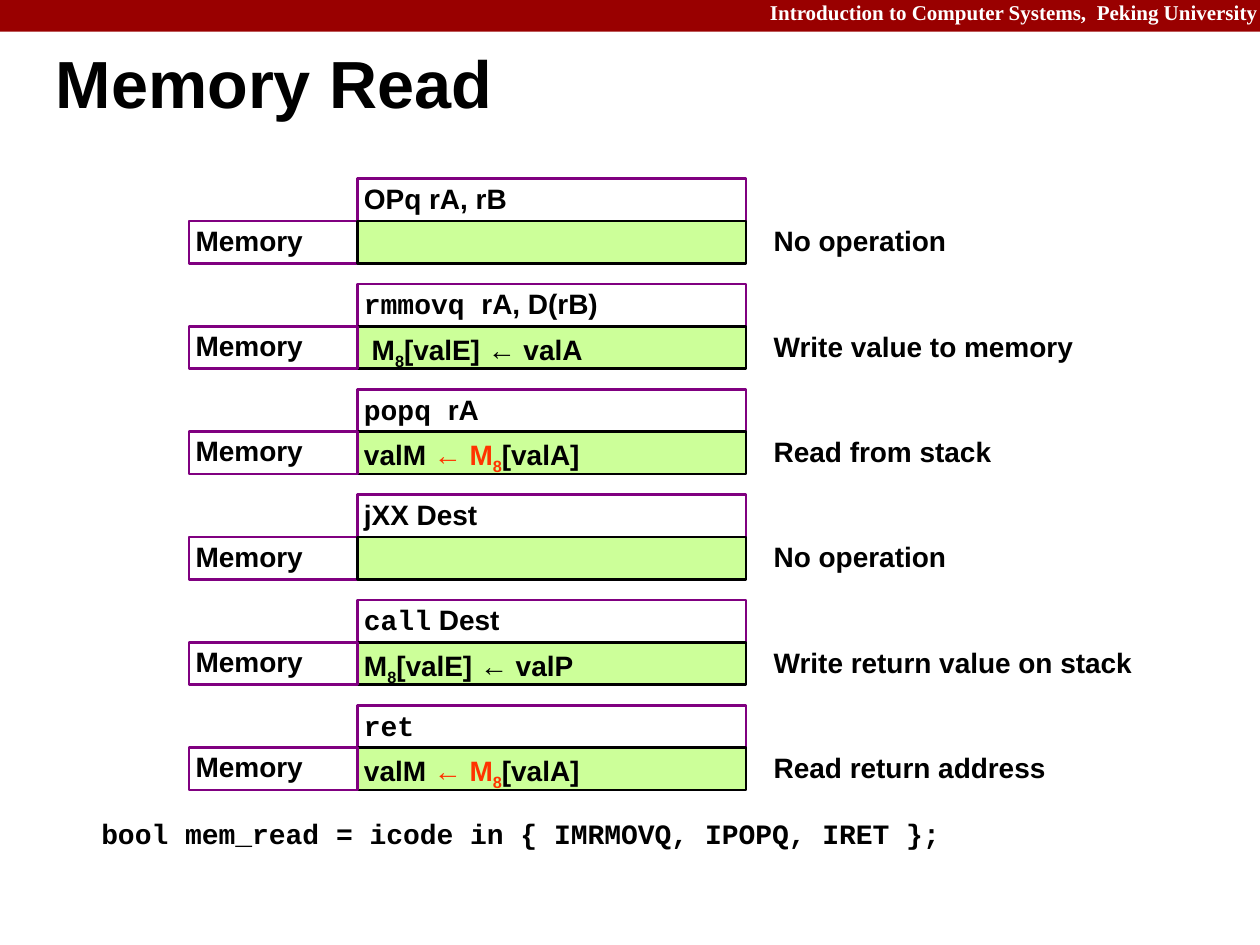
"""Build the Memory Read slide: the memory stage of six instructions."""
from pptx import Presentation
from pptx.dml.color import RGBColor
from pptx.enum import shapes, text
from pptx.util import Cm, Pt

HEADER = "Introduction to Computer Systems,  Peking University"
TITLE = "Memory Read"
CODE = "bool mem_read = icode in { IMRMOVQ, IPOPQ, IRET };"
STAGE = [("Memory", "")]
READ_STACK = [("valM ", ""), ("← M", "red"), ("8", "red sub"), ("[valA]", "")]
INSTRUCTIONS = [
    ([("OPq rA, rB", "")], [], "No operation"),
    ([("rmmovq ", "code"), ("rA, D(rB)", "")],
     [(" M", ""), ("8", "sub"), ("[valE] ← valA", "")], "Write value to memory"),
    ([("popq ", "code"), ("rA", "")], READ_STACK, "Read from stack"),
    ([("jXX Dest", "")], [], "No operation"),
    ([("call", "code"), (" Dest", "")],
     [("M", ""), ("8", "sub"), ("[valE] ← valP", "")], "Write return value on stack"),
    ([("ret", "code")], READ_STACK, "Read return address"),
]

BLACK, WHITE, RED = "000000", "FFFFFF", "FF3300"
PURPLE, GREEN, MAROON = "800080", "CCFF99", "990000"
SANS, MONO, SERIF = "Arial", "Courier New", "Times New Roman"
TOP, PITCH, ROW = 3.6, 2.12, 0.85
STAGE_LEFT, STAGE_WIDTH = 3.81, 3.39
CELL_LEFT, CELL_WIDTH = STAGE_LEFT + STAGE_WIDTH, 7.82
NOTE_LEFT = 15.45
INSET = 0.13


def color(value):
    return RGBColor.from_string(value)


def format_paragraph(paragraph, size, name=SANS, ink=BLACK, spacing=0.9):
    paragraph.line_spacing = spacing
    font = paragraph.font
    font.size, font.name, font.bold = Pt(size), name, True
    font.color.rgb = color(ink)


def write(shape, runs, name=SANS, spacing=0.9, anchor=text.MSO_ANCHOR.TOP):
    frame = shape.text_frame
    frame.word_wrap = True
    frame.vertical_anchor = anchor
    frame.margin_left = frame.margin_right = Cm(INSET)
    frame.margin_top = frame.margin_bottom = Cm(INSET)
    paragraph = frame.paragraphs[0]
    paragraph.alignment = text.PP_ALIGN.LEFT
    for words, style in runs:
        run = paragraph.add_run()
        run.text = words
        if "code" in style:
            run.font.name = MONO
        if "red" in style:
            run.font.color.rgb = color(RED)
        if "sub" in style:
            run._r.get_or_add_rPr().set("baseline", "-25000")
    format_paragraph(paragraph, 16, name, spacing=spacing)


def add_box(slide, left, top, width, height, fill=None, line=None):
    shape = slide.shapes.add_shape(
        shapes.MSO_SHAPE.RECTANGLE, Cm(left), Cm(top), Cm(width), Cm(height))
    shape.shadow.inherit = False
    if fill:
        shape.fill.solid()
        shape.fill.fore_color.rgb = color(fill)
    else:
        shape.fill.background()
    if line:
        shape.line.color.rgb = color(line)
        shape.line.width = Pt(1.5)
    else:
        shape.line.fill.background()
    return shape


def add_text(slide, left, top, width, height):
    return slide.shapes.add_textbox(Cm(left), Cm(top), Cm(width), Cm(height))


def add_instruction(slide, top, instruction, result, note):
    write(add_box(slide, CELL_LEFT, top, CELL_WIDTH, ROW, line=PURPLE), instruction)
    below = top + ROW
    cells = [
        (CELL_LEFT, CELL_WIDTH, GREEN, BLACK, result, text.MSO_ANCHOR.TOP),
        (STAGE_LEFT, STAGE_WIDTH, None, PURPLE, STAGE, text.MSO_ANCHOR.MIDDLE),
    ]
    for left, width, fill, line, runs, anchor in cells if result else reversed(cells):
        shape = add_box(slide, left, below, width, ROW, fill, line)
        if runs:
            write(shape, runs, anchor=anchor)
    write(add_text(slide, NOTE_LEFT, below, CELL_WIDTH, ROW), [(note, "")])


def add_header(slide):
    add_box(slide, 0, 0, 25.37, 0.64, fill=MAROON)
    shape = add_text(slide, 12.7, -0.08, 12.88, 0.71)
    shape.text_frame.word_wrap = True
    paragraph = shape.text_frame.paragraphs[0]
    paragraph.text = HEADER
    paragraph.alignment = text.PP_ALIGN.RIGHT
    format_paragraph(paragraph, 12, SERIF, WHITE)


def add_title(slide):
    title = slide.shapes.title
    title.left, title.top, title.width, title.height = Cm(1.12), Cm(0.69), Cm(24.18), Cm(2.16)
    frame = title.text_frame
    frame.text = TITLE
    frame.auto_size = text.MSO_AUTO_SIZE.NONE
    frame.vertical_anchor = text.MSO_ANCHOR.MIDDLE
    frame.margin_left = frame.margin_right = frame.margin_top = frame.margin_bottom = 0
    frame.paragraphs[0].alignment = text.PP_ALIGN.LEFT
    format_paragraph(frame.paragraphs[0], 38, spacing=0.87)


def main():
    presentation = Presentation()
    presentation.slide_width, presentation.slide_height = Cm(25.37), Cm(19.02)
    slide = presentation.slides.add_slide(presentation.slide_layouts[5])
    add_header(slide)
    add_title(slide)
    for index, (instruction, result, note) in enumerate(INSTRUCTIONS):
        add_instruction(slide, TOP + index * PITCH, instruction, result, note)
    write(add_text(slide, 1.91, 16.31, 22.22, 0.94), [(CODE, "")], MONO, spacing=1.0)
    presentation.save("out.pptx")


if __name__ == "__main__":
    main()
